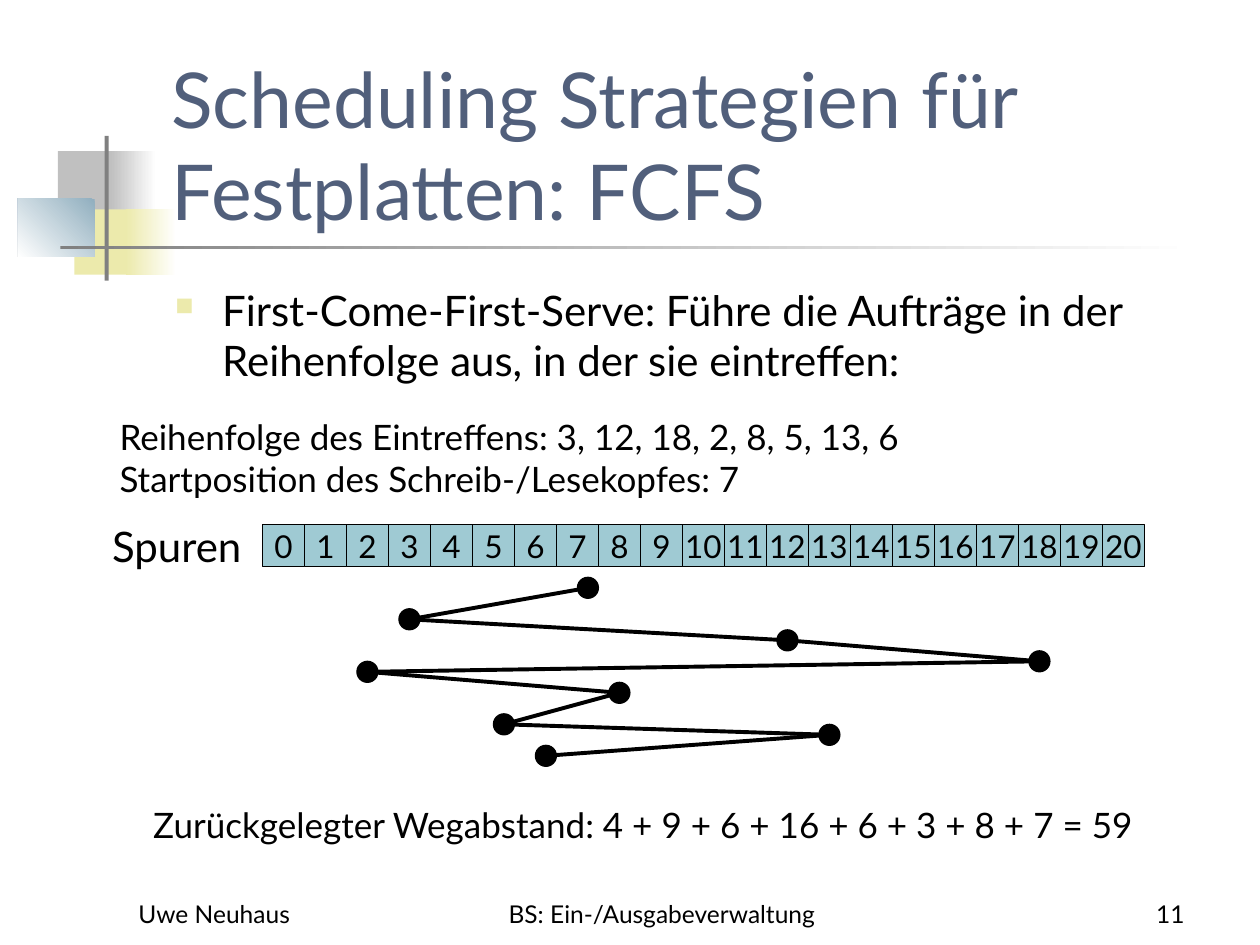
from dataclasses import dataclass

from lxml import etree
from pptx import Presentation
from pptx import util as u
from pptx.dml.color import RGBColor
from pptx.enum import shapes, text
from pptx.oxml import ns

LEFT, CENTER, RIGHT = text.PP_ALIGN.LEFT, text.PP_ALIGN.CENTER, text.PP_ALIGN.RIGHT
TOP, MIDDLE, BOTTOM = text.MSO_ANCHOR.TOP, text.MSO_ANCHOR.MIDDLE, text.MSO_ANCHOR.BOTTOM


@dataclass(frozen=True)
class Theme:
    font: str = "Lato"
    ink: str = "000000"
    title: str = "515F7B"
    track: str = "9FCAD3"
    yellow: str = "ECEAAC"
    blue: str = "91AFBF"
    silver: str = "C0C0C0"
    gray: str = "808080"
    white: str = "FFFFFF"
    title_size: int = 44
    body_size: int = 24
    note_size: int = 20
    track_size: int = 18
    footer_size: int = 14


TH = Theme()

DECOR = [
    ((1.17, 3.05, 1.22, 1.32), TH.silver, None),
    ((2.24, 3.05, 0.91, 1.32), TH.silver, 0),
    ((1.5, 4.22, 1.17, 1.32), TH.yellow, None),
    ((2.54, 4.22, 1.02, 1.32), TH.yellow, 0),
    ((0.36, 4.01, 1.55, 1.17), TH.blue, 225),
    ((2.11, 2.74, 0.08, 2.92), TH.gray, None),
    ((1.22, 4.95, 22.86, 0.08), TH.gray, 0),
]

TITLE = "Scheduling Strategien für Festplatten: FCFS"
BODY = "First-Come-First-Serve: Führe die Aufträge in der Reihenfolge aus, in der sie eintreffen:"
ORDER = ("Reihenfolge des Eintreffens: 3, 12, 18, 2, 8, 5, 13, 6\n"
         "Startposition des Schreib-/Lesekopfes: 7")
DISTANCE = "Zurückgelegter Wegabstand: 4 + 9 + 6 + 16 + 6 + 3 + 8 + 7 = 59"

TEXTS = [
    (TITLE, (3.2, 1.7, 21.64, 3.18), TH.title_size, TH.title, LEFT, BOTTOM),
    ("Spuren", (2.01, 10.36, 3.35, 1.27), TH.body_size, TH.ink, LEFT, TOP),
    (ORDER, (2.16, 8.26, 17.07, 1.96), TH.note_size, TH.ink, LEFT, TOP),
    (DISTANCE, (2.84, 16.08, 20.96, 1.12), TH.note_size, TH.ink, LEFT, TOP),
    ("Uwe Neuhaus", (2.54, 17.58, 5.28, 1.27), TH.footer_size, TH.ink, LEFT, BOTTOM),
    ("BS: Ein-/Ausgabeverwaltung", (9.32, 17.58, 8.05, 1.27), TH.footer_size, TH.ink, CENTER, BOTTOM),
    ("11", (18.85, 17.58, 5.28, 1.27), TH.footer_size, TH.ink, RIGHT, BOTTOM),
]
BODY_BOX = (3.28, 5.61, 21.59, 11.43)

TRACKS = 21
ROW_LEFT, ROW_TOP, ROW_WIDTH = 5.29, 10.58, 17.78
CELL = ROW_WIDTH / TRACKS
STEP = CELL / 4
DOT = CELL / 2
PATH_TOP = 11.85

# (track, steps down, steps right of the track centre)
HEAD_PATH = [(7, 0, 1), (3, 3, 0), (12, 5, 0), (18, 7, 0), (2, 8, 0),
             (8, 10, 0), (5, 13, 1), (13, 14, 0), (6, 16, 1)]
HEAD_PATH = [(ROW_LEFT + (track + 0.5) * CELL + right * STEP, PATH_TOP + down * STEP)
             for track, down, right in HEAD_PATH]


def rgb(color):
    return RGBColor.from_string(color)


def cm(values):
    return [u.Cm(v) for v in values]


def write(sp, content, size, color, align=LEFT, anchor=TOP, wrap=True):
    tf = sp.text_frame
    tf.text = content
    tf.word_wrap = wrap
    tf.vertical_anchor = anchor
    for p in tf.paragraphs:
        p.alignment = align
        for r in p.runs:
            r.font.name, r.font.size = TH.font, u.Pt(size)
            r.font.color.rgb = rgb(color)


def add_shape(s, kind, box, color, outline=False, angle=None):
    sp = s.shapes.add_shape(kind, *cm(box))
    sp.shadow.inherit = False
    if angle is None:
        sp.fill.solid()
        sp.fill.fore_color.rgb = rgb(color)
    else:
        sp.fill.gradient()
        sp.fill.gradient_angle = angle
        for stop, shade in zip(sp.fill.gradient_stops, (color, TH.white)):
            stop.color.rgb = rgb(shade)
    if outline:
        sp.line.color.rgb = rgb(TH.ink)
        sp.line.width = u.Pt(0.75)
    else:
        sp.line.fill.background()
    return sp


def add_line(s, start, end):
    line = s.shapes.add_connector(shapes.MSO_CONNECTOR.STRAIGHT, *cm(start + end))
    line.line.color.rgb = rgb(TH.ink)
    line.line.width = u.Pt(2.25)
    etree.SubElement(line._element.spPr, ns.qn("a:effectLst"))


def add_bullet(p):
    p.space_before = u.Pt(6)
    pr = p._p.get_or_add_pPr()
    pr.set("marL", str(u.Cm(0.95)))
    pr.set("indent", str(-u.Cm(0.95)))
    bullet_color = etree.SubElement(pr, ns.qn("a:buClr"))
    etree.SubElement(bullet_color, ns.qn("a:srgbClr"), val=TH.yellow)
    etree.SubElement(pr, ns.qn("a:buSzPct"), val="60000")
    etree.SubElement(pr, ns.qn("a:buChar"), char="■")


def main():
    """Build the slide on first-come-first-serve disk scheduling."""
    prs = Presentation()
    prs.slide_width, prs.slide_height = u.Cm(25.4), u.Cm(19.05)
    s = prs.slides.add_slide(prs.slide_layouts[6])
    rect, oval = shapes.MSO_SHAPE.RECTANGLE, shapes.MSO_SHAPE.OVAL

    for box, color, angle in DECOR:
        add_shape(s, rect, box, color, angle=angle)

    for content, box, *style in TEXTS:
        write(s.shapes.add_textbox(*cm(box)), content, *style)
    body = s.shapes.add_textbox(*cm(BODY_BOX))
    write(body, BODY, TH.body_size, TH.ink)
    add_bullet(body.text_frame.paragraphs[0])

    for track in range(TRACKS):
        box = (ROW_LEFT + track * CELL, ROW_TOP, CELL, CELL)
        sp = add_shape(s, rect, box, TH.track, outline=True)
        write(sp, str(track), TH.track_size, TH.ink, CENTER, MIDDLE, wrap=False)

    for start, end in zip(HEAD_PATH, HEAD_PATH[1:]):
        add_line(s, start, end)
    for x, y in HEAD_PATH:
        add_shape(s, oval, (x - DOT / 2, y - DOT / 2, DOT, DOT), TH.ink, outline=True)

    prs.save("out.pptx")


if __name__ == "__main__":
    main()
